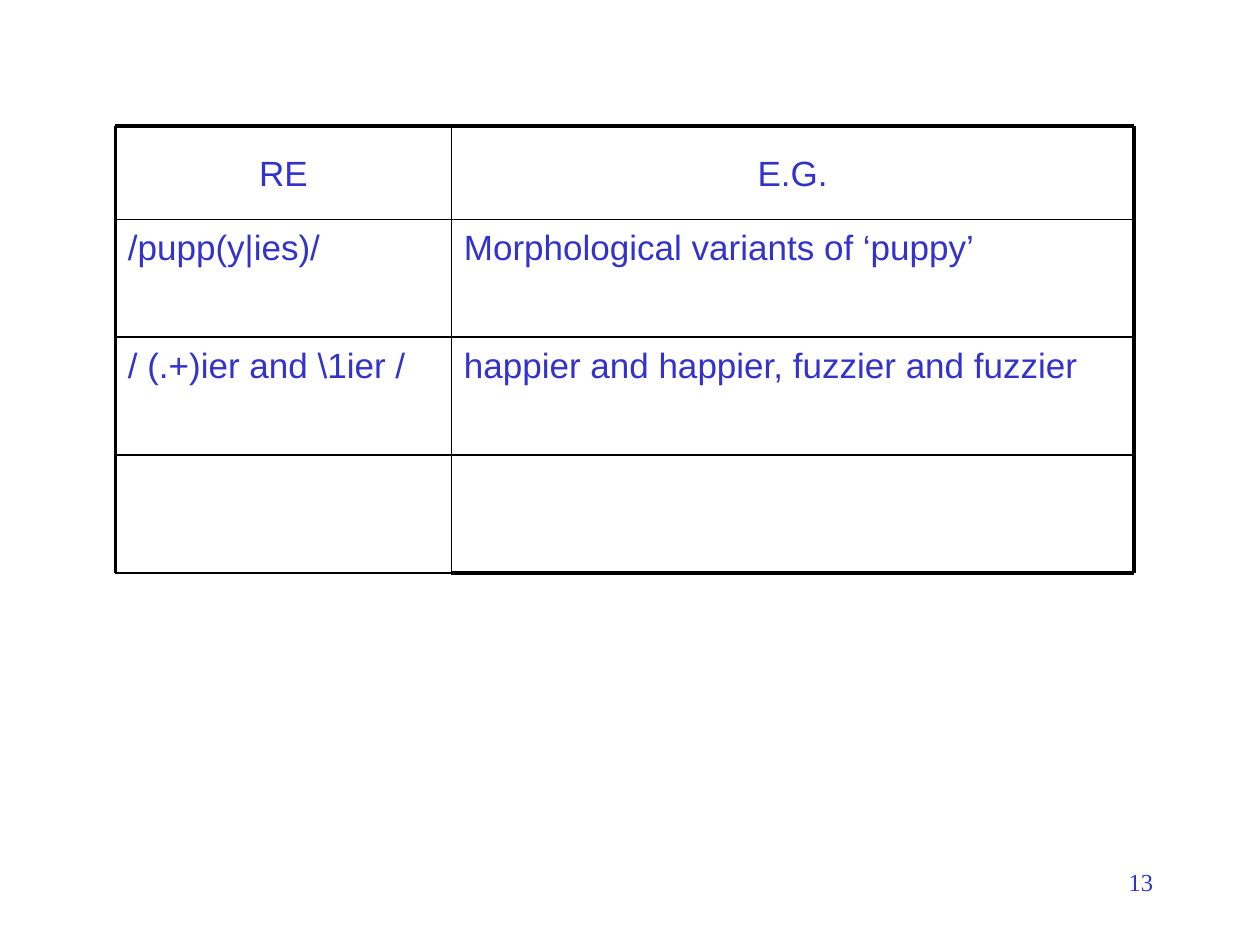
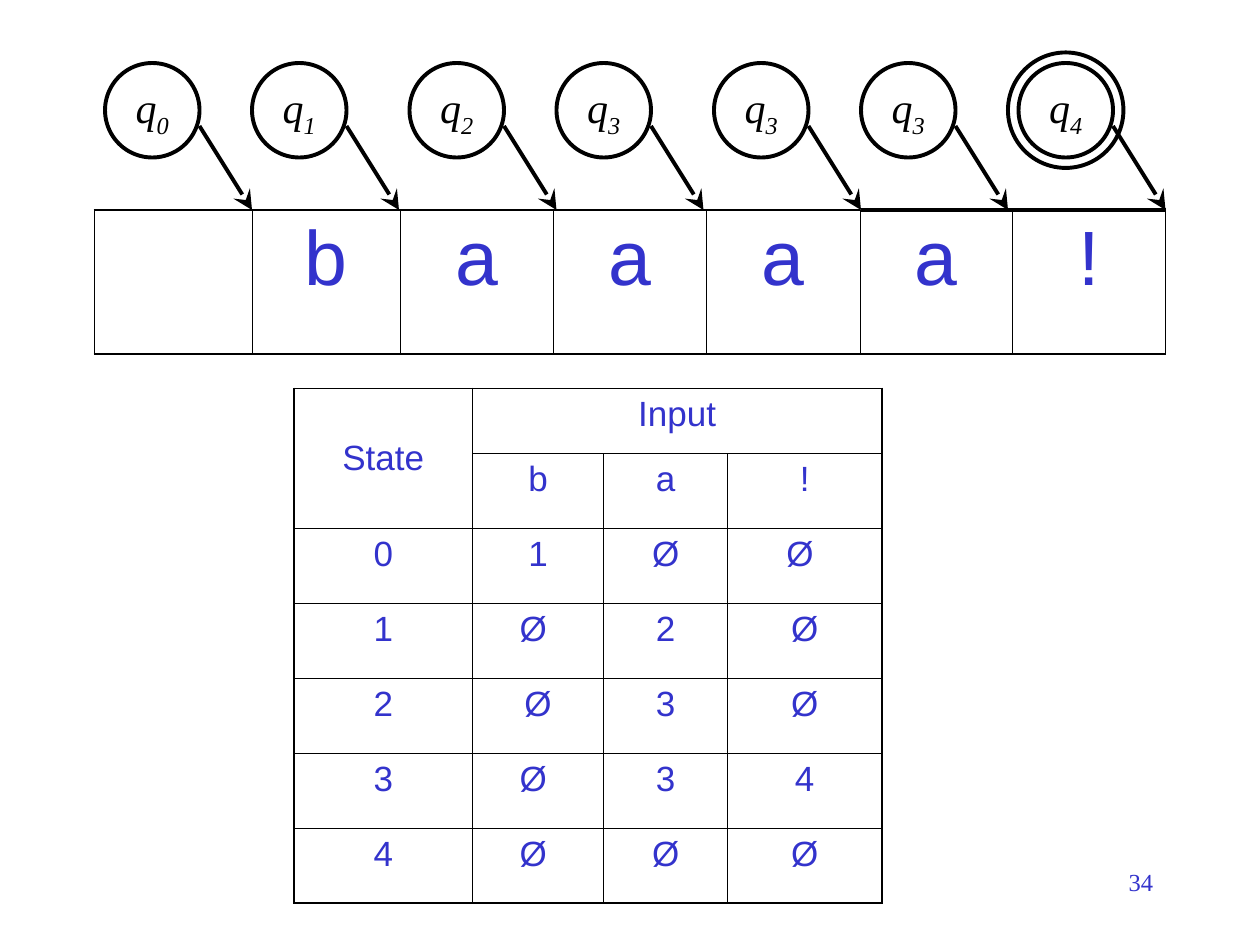
import dataclasses
import itertools

import lxml.etree
import pptx
import pptx.dml.color
import pptx.enum.shapes
import pptx.enum.text
import pptx.oxml.ns
import pptx.shapes.autoshape
import pptx.slide
import pptx.table
import pptx.text.text
import pptx.util

EMU_PER_PX = 7620  # 120 px to the inch
COLORS = {"ink": "000000", "text": "3333CC", "paper": "FFFFFF"}
ALIGN = pptx.enum.text.PP_ALIGN
ANCHOR = pptx.enum.text.MSO_ANCHOR
STATE_SIZE = 90
RING_GAP = 10
TAPE_TOP = 200
HEAVY_LINE = 2.25
LIGHT_LINE = 1

# Font formats
CELL_FONT = {"name": "Arial", "size": pptx.util.Pt(20)}
TAPE_FONT = {"name": "Arial", "size": pptx.util.Pt(44)}
PAGE_FONT = {"name": "Times New Roman", "size": pptx.util.Pt(14)}
STATE_FONT = {"name": "Times New Roman", "size": pptx.util.Pt(24), "italic": True}


@dataclasses.dataclass(frozen=True)
class Box:
    """A text box and its paragraph format."""
    left: int
    top: int
    width: int
    height: int
    text: str
    font: dict
    paragraph: dict
    anchor: pptx.enum.text.MSO_ANCHOR = ANCHOR.TOP


@dataclasses.dataclass(frozen=True)
class Line:
    start: tuple[int, int]
    end: tuple[int, int]
    width: float = HEAVY_LINE
    arrow: bool = False


@dataclasses.dataclass(frozen=True)
class Grid:
    """A table; thin_edges lists outer (row, column, side) drawn like inner ones."""
    left: int
    top: int
    columns: tuple[int, ...]
    rows: tuple[int, ...]
    texts: tuple[tuple[str, ...], ...]
    font: dict
    space_before: int
    merges: tuple[tuple[int, int, int, int], ...] = ()
    thin_edges: tuple[tuple[int, int, str], ...] = ()
    outer_line: float = 1.08
    inner_line: float = 0.45


@dataclasses.dataclass(frozen=True)
class State:
    left: int
    top: int
    number: str


# Regular expressions: cell edges and texts
EXPRESSION_X = (110, 430, 1080)
EXPRESSION_Y = (120, 209, 321, 433, 546)
EXPRESSIONS = (
    ("RE", "E.G."),
    ("/pupp(y|ies)/", "Morphological variants of ‘puppy’"),
    ("/ (.+)ier and \\1ier /", "happier and happier, fuzzier and fuzzier"),
)

TAPE = Grid(
    left=90, top=TAPE_TOP, columns=(150, 141, 146, 146, 146, 145, 146), rows=(137,),
    texts=(("", "b", "a", "a", "a", "a", "!"),),
    font=TAPE_FONT, space_before=11, thin_edges=((0, 5, "T"), (0, 6, "T")),
)
TRANSITIONS = Grid(
    left=280, top=370, columns=(170, 125, 118, 147),
    rows=(62, 71, 72, 71, 72, 71, 71),
    texts=(
        ("State", "Input", "", ""),
        ("", "b", "a", "!"),
        ("0", "1", "Ø", "Ø "),
        ("1", "Ø ", "2", "Ø"),
        ("2", "Ø", "3", "Ø"),
        ("3", "Ø ", "3", "4"),
        ("4", "Ø ", "Ø", "Ø"),
    ),
    font=CELL_FONT, space_before=5, merges=((0, 0, 1, 0), (0, 1, 0, 3)),
)
# Columns of states alternate between steps of 140 and 150
STATES = [
    State(100 + 290 * (index // 2) + 140 * (index % 2), 60, number)
    for index, number in enumerate("0123334")
]


def px(length: int) -> pptx.util.Emu:
    return pptx.util.Emu(length * EMU_PER_PX)


def color(name: str) -> pptx.dml.color.RGBColor:
    return pptx.dml.color.RGBColor.from_string(COLORS[name])


def apply_format(target: object, values: dict) -> None:
    for name, value in values.items():
        setattr(target, name, value)


def add_child(parent: lxml.etree.ElementBase, tag: str, **attributes: str) -> lxml.etree.ElementBase:
    return lxml.etree.SubElement(parent, pptx.oxml.ns.qn(tag), attributes)


def add_run(paragraph: pptx.text.text._Paragraph, text: str, font: dict, ink: str) -> None:
    run = paragraph.add_run()
    run.text = text
    apply_format(run.font, font)
    run.font.color.rgb = color(ink)


def draw_box(slide: pptx.slide.Slide, box: Box) -> None:
    shape = slide.shapes.add_textbox(*map(px, (box.left, box.top, box.width, box.height)))
    apply_format(shape.text_frame, {"word_wrap": True, "vertical_anchor": box.anchor})
    paragraph = shape.text_frame.paragraphs[0]
    apply_format(paragraph, box.paragraph)
    add_run(paragraph, box.text, box.font, "text")


def draw_line(shapes, line: Line) -> None:
    connector = shapes.add_connector(
        pptx.enum.shapes.MSO_CONNECTOR.STRAIGHT, *map(px, line.start + line.end))
    connector.line.color.rgb = color("ink")
    connector.line.width = pptx.util.Pt(line.width)
    if line.arrow:
        add_child(connector.element.xpath(".//a:ln")[0], "a:tailEnd",
                  type="stealth", w="lg", len="lg")
    add_child(connector.element.xpath(".//p:spPr")[0], "a:effectLst")


def set_borders(cell: pptx.table._Cell, widths: dict[str, float]) -> None:
    properties = cell._tc.get_or_add_tcPr()
    for side, width in widths.items():
        line = add_child(properties, f"a:ln{side}", w=str(pptx.util.Pt(width)))
        add_child(add_child(line, "a:solidFill"), "a:srgbClr", val=COLORS["ink"])


def draw_grid(slide: pptx.slide.Slide, grid: Grid) -> None:
    row_count, column_count = len(grid.rows), len(grid.columns)
    frame = slide.shapes.add_table(
        row_count, column_count, px(grid.left), px(grid.top),
        px(sum(grid.columns)), px(sum(grid.rows)))
    table = frame.table
    apply_format(table, {"first_row": False, "horz_banding": False})
    for column, width in zip(table.columns, grid.columns):
        column.width = px(width)
    for row, height in zip(table.rows, grid.rows):
        row.height = px(height)
    for top, left, bottom, right in grid.merges:
        table.cell(top, left).merge(table.cell(bottom, right))

    for row_index, row_texts in enumerate(grid.texts):
        for column_index, text in enumerate(row_texts):
            cell = table.cell(row_index, column_index)
            outer = {
                "L": column_index == 0,
                "R": column_index + max(cell.span_width, 1) == column_count,
                "T": row_index == 0,
                "B": row_index + max(cell.span_height, 1) == row_count,
            }
            set_borders(cell, {
                side: grid.outer_line
                if is_outer and (row_index, column_index, side) not in grid.thin_edges
                else grid.inner_line
                for side, is_outer in outer.items()
            })
            cell.fill.background()
            if cell.span_height > 1:
                cell.vertical_anchor = ANCHOR.MIDDLE
            if text:
                paragraph = cell.text_frame.paragraphs[0]
                apply_format(paragraph, {
                    "alignment": ALIGN.CENTER,
                    "space_before": pptx.util.Pt(grid.space_before),
                })
                add_run(paragraph, text, grid.font, "text")


def draw_circle(shapes, left: int, top: int, size: int) -> pptx.shapes.autoshape.Shape:
    circle = shapes.add_shape(
        pptx.enum.shapes.MSO_SHAPE.OVAL, px(left), px(top), px(size), px(size))
    circle.shadow.inherit = False
    circle.fill.solid()
    circle.fill.fore_color.rgb = color("paper")
    circle.line.color.rgb = color("ink")
    circle.line.width = pptx.util.Pt(HEAVY_LINE)
    return circle


def draw_state(slide: pptx.slide.Slide, state: State) -> None:
    group = slide.shapes.add_group_shape()
    circle = draw_circle(group.shapes, state.left, state.top, STATE_SIZE)
    apply_format(circle.text_frame, {"word_wrap": False, "vertical_anchor": ANCHOR.MIDDLE})
    paragraph = circle.text_frame.paragraphs[0]
    paragraph.alignment = ALIGN.CENTER
    for text in ("q", state.number):
        add_run(paragraph, text, STATE_FONT, "ink")
    circle.element.xpath(".//a:rPr")[-1].set("baseline", "-25000")
    right = state.left + STATE_SIZE
    draw_line(group.shapes, Line((right, 120), (right + 50, TAPE_TOP), arrow=True))


def add_numbered_slide(presentation, number: int) -> pptx.slide.Slide:
    slide = presentation.slides.add_slide(presentation.slide_layouts[6])
    draw_box(slide, Box(860, 820, 250, 60, str(number), PAGE_FONT, {"alignment": ALIGN.RIGHT}))
    return slide


def draw_expressions(slide: pptx.slide.Slide) -> None:
    # Cell texts, with a centred heading row
    row_edges = itertools.pairwise(EXPRESSION_Y)
    for row_index, (texts, (top, bottom)) in enumerate(zip(EXPRESSIONS, row_edges)):
        heading = row_index == 0
        paragraph = {
            "alignment": ALIGN.CENTER if heading else ALIGN.LEFT,
            "space_before": pptx.util.Pt(5),
        }
        anchor = ANCHOR.MIDDLE if heading else ANCHOR.TOP
        for text, (left, right) in zip(texts, itertools.pairwise(EXPRESSION_X)):
            draw_box(slide, Box(left, top, right - left, bottom - top,
                                text, CELL_FONT, paragraph, anchor))

    # Rules: heavy outside, except under the first column
    left, middle, right = EXPRESSION_X
    top, *inner, bottom = EXPRESSION_Y
    rules = [
        Line((left, top), (right, top)),
        *(Line((left, y), (right, y), LIGHT_LINE) for y in inner),
        Line((left, bottom), (middle, bottom), LIGHT_LINE),
        Line((left, top), (left, bottom)),
        Line((middle, top), (middle, bottom), LIGHT_LINE),
        Line((right, top), (right, bottom)),
        Line((middle, bottom), (right, bottom)),
    ]
    for rule in rules:
        draw_line(slide.shapes, rule)


def draw_automaton(slide: pptx.slide.Slide) -> None:
    # Outer ring of the final state, tape, transitions and states
    final = STATES[-1]
    draw_circle(slide.shapes, final.left - RING_GAP, final.top - RING_GAP,
                STATE_SIZE + 2 * RING_GAP)
    draw_grid(slide, TAPE)
    draw_grid(slide, TRANSITIONS)
    for state in STATES:
        draw_state(slide, state)
    draw_line(slide.shapes, Line((820, TAPE_TOP), (1110, TAPE_TOP)))


def main() -> None:
    presentation = pptx.Presentation()
    apply_format(presentation, {"slide_width": px(1200), "slide_height": px(900)})
    draw_expressions(add_numbered_slide(presentation, 13))
    draw_automaton(add_numbered_slide(presentation, 34))
    presentation.save("out.pptx")


if __name__ == "__main__":
    main()
